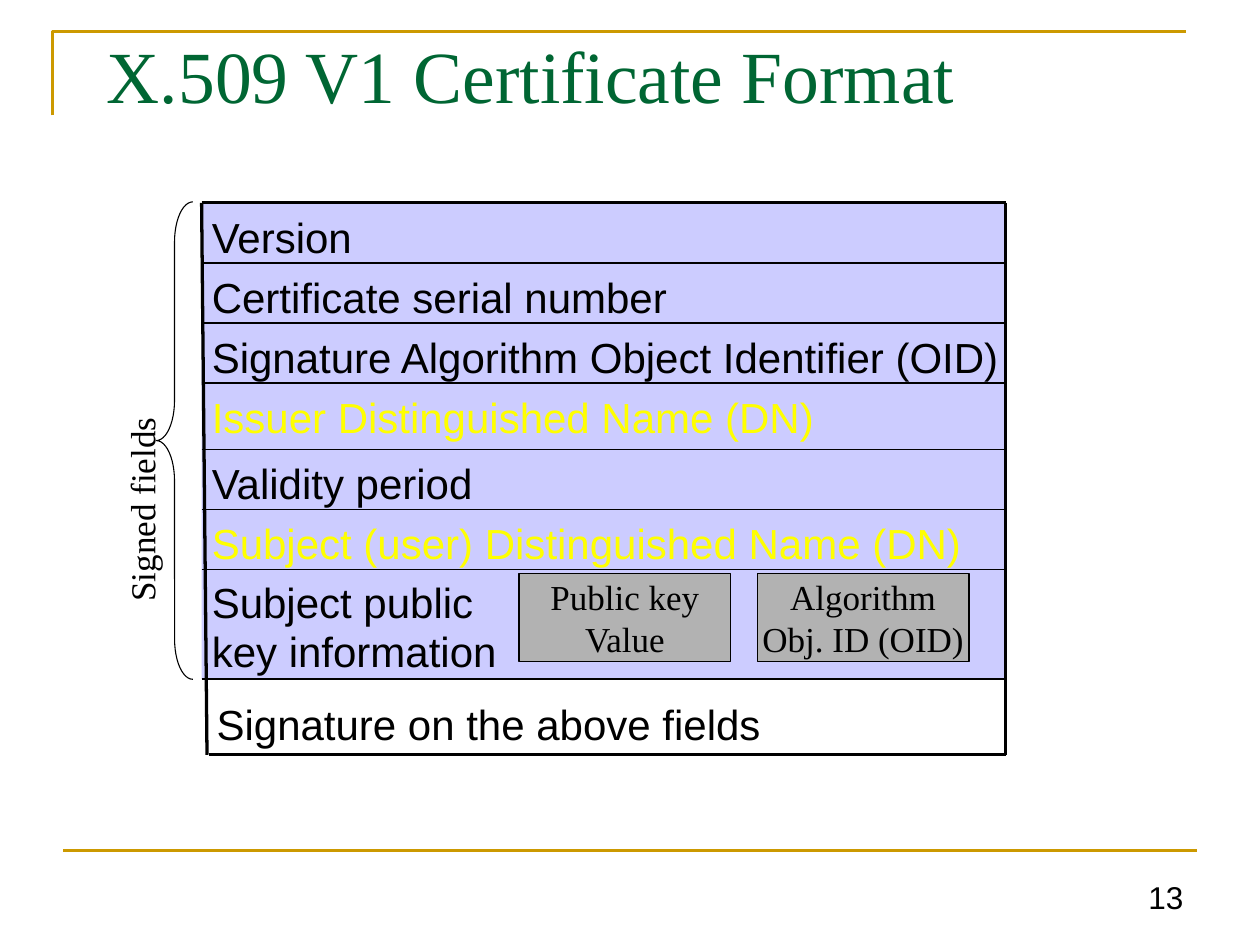
from pptx import Presentation
from pptx.dml.color import RGBColor
from pptx.enum.shapes import MSO_CONNECTOR, MSO_SHAPE
from pptx.enum.text import MSO_ANCHOR, PP_ALIGN
from pptx.oxml.ns import qn
from pptx.util import Pt

STRAIGHT = MSO_CONNECTOR.STRAIGHT
RECT, BRACE = MSO_SHAPE.RECTANGLE, MSO_SHAPE.LEFT_BRACE
TOP, BOTTOM, MIDDLE = MSO_ANCHOR.TOP, MSO_ANCHOR.BOTTOM, MSO_ANCHOR.MIDDLE
LEFT, CENTER, RIGHT = PP_ALIGN.LEFT, PP_ALIGN.CENTER, PP_ALIGN.RIGHT

COLORS = {"gold": "CC9900", "green": "006633", "black": "000000",
          "yellow": "FFFF00", "row": "CCCCFF", "key": "B2B2B2"}
FONTS = {
    "title": {"name": "Times New Roman", "size": Pt(42)},
    "field": {"name": "Arial", "size": Pt(24)},
    "note": {"name": "Times New Roman", "size": Pt(20)},
    "number": {"name": "Arial", "size": Pt(18)},
}

# Certificate table: left and right edge, top, and rows of (lines, height, color)
X1, X2, Y1, Y2 = 115.2, 574.6, 115.9, 431.3
ROWS = [
    (["Version"], 34.3, "black"),
    (["Certificate serial number"], 34.3, "black"),
    (["Signature Algorithm Object Identifier (OID)"], 34.3, "black"),
    (["Issuer Distinguished Name (DN)"], 38, "yellow"),
    (["Validity period"], 34.3, "black"),
    (["Subject (user) Distinguished Name (DN)"], 34.3, "yellow"),
    (["Subject public", "key information"], 62.7, "black"),
]
KEY_PARTS = [(296.6, ["Public key", "Value"]),
             (432.7, ["Algorithm", "Obj. ID (OID)"])]


def rgb(color):
    return RGBColor.from_string(COLORS[color])


def set_line(s, color, width):
    s.line.color.rgb = rgb(color)
    s.line.width = Pt(width)


def write(s, lines, font, color="black", align=LEFT, anchor=TOP,
          insets=(0, 0, 0, 0), wrap=True, spacing=None):
    tf = s.text_frame
    frame = {"word_wrap": wrap, "vertical_anchor": anchor}
    sides = ("margin_left", "margin_top", "margin_right", "margin_bottom")
    frame.update(zip(sides, map(Pt, insets)))
    for name, value in frame.items():
        setattr(tf, name, value)
    for i, line in enumerate(lines):
        p = tf.add_paragraph() if i else tf.paragraphs[0]
        p.alignment = align
        if spacing:
            p.line_spacing = Pt(spacing)
        r = p.add_run()
        r.text = line
        for name, value in FONTS[font].items():
            setattr(r.font, name, value)
        r.font.color.rgb = rgb(color)


def add_text(sp, x, y, w, h, text, font, **options):
    s = sp.add_textbox(Pt(x), Pt(y), Pt(w), Pt(h))
    write(s, [text], font, **options)
    return s


def add_box(sp, x, y, w, h, fill):
    s = sp.add_shape(RECT, Pt(x), Pt(y), Pt(w), Pt(h))
    s.shadow.inherit = False
    s.fill.solid()
    s.fill.fore_color.rgb = rgb(fill)
    s.line.fill.background()
    return s


def add_line(sp, x1, y1, x2, y2, width, color="black"):
    s = sp.add_connector(STRAIGHT, Pt(x1), Pt(y1), Pt(x2), Pt(y2))
    set_line(s, color, width)
    props = s._element.spPr
    props.append(props.makeelement(qn("a:effectLst"), {}))


def add_corner(sp, x1, y1, x2, y2):
    builder = sp.build_freeform(Pt(x1), Pt(y2))
    builder.add_line_segments([(Pt(x1), Pt(y1)), (Pt(x2), Pt(y1))], close=False)
    s = builder.convert_to_shape()
    s.shadow.inherit = False
    s.fill.background()
    set_line(s, "gold", 1.5)


def add_brace(sp, x, y, w, h):
    s = sp.add_shape(BRACE, Pt(x), Pt(y), Pt(w), Pt(h))
    s.shadow.inherit = False
    s.adjustments[0] = 1.1
    s.fill.background()
    set_line(s, "black", 0.63)


def add_certificate(sp):
    # Signed rows
    y, edges = Y1, []
    for lines, height, color in ROWS:
        s = add_box(sp, X1, y, X2 - X1, height, "row")
        write(s, lines, "field", color, insets=(5.8, 4.7, 0, 0),
              spacing=28.2 if len(lines) > 1 else None)
        y += height
        edges.append(y)
    add_text(sp, 123.8, 398.9, 328.3, 31.7, "Signature on the above fields",
             "field", wrap=False)

    # Row separators and frame
    for edge in edges:
        add_line(sp, X1, edge, X2, edge, 0.88)
    for ends in [(X1, Y1, X2, Y1), (119.2, Y2, X2, Y2),
                 (X1, Y1, 118.3, Y2), (X2, Y1, X2, Y2)]:
        add_line(sp, *ends, 1.88)

    # Parts of the public key information
    for x, lines in KEY_PARTS:
        s = add_box(sp, x, 327.6, 121, 50.4, "key")
        set_line(s, "black", 0.63)
        write(s, lines, "note", align=CENTER, anchor=MIDDLE, spacing=24)


def main():
    prs = Presentation()
    prs.slide_width, prs.slide_height = Pt(720), Pt(540)
    sp = prs.slides.add_slide(prs.slide_layouts[6]).shapes

    # Page frame and title
    add_corner(sp, 30, 18, 678, 66)
    add_line(sp, 36, 486, 684, 486, 1.5, "gold")
    add_text(sp, 54, 13.7, 612, 76.3, "X.509 V1 Certificate Format", "title",
             color="green", insets=(7.2, 3.6, 7.2, 3.6))

    add_certificate(sp)

    # Bracket over the signed rows
    add_brace(sp, 89.3, 115.4, 20.9, 272.8)
    s = add_text(sp, 23.8, 270, 118.8, 28.8, "Signed fields", "note", wrap=False)
    s.rotation = 270

    # Page number
    add_text(sp, 648.7, 491.8, 34.6, 35.3, "13", "number", align=RIGHT,
             anchor=BOTTOM, insets=(7.2, 3.6, 7.2, 3.6), wrap=False)

    prs.save("out.pptx")


if __name__ == "__main__":
    main()
